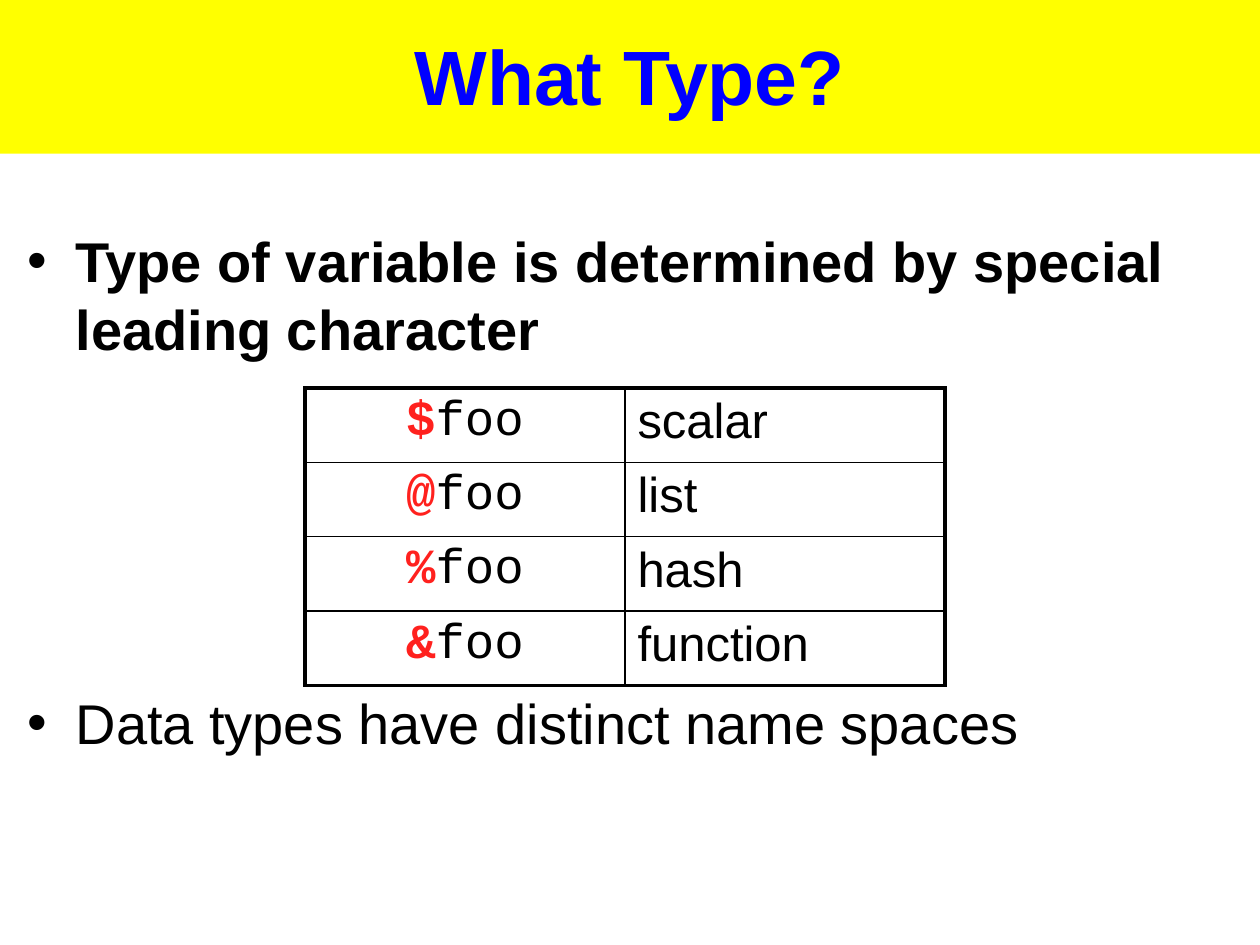
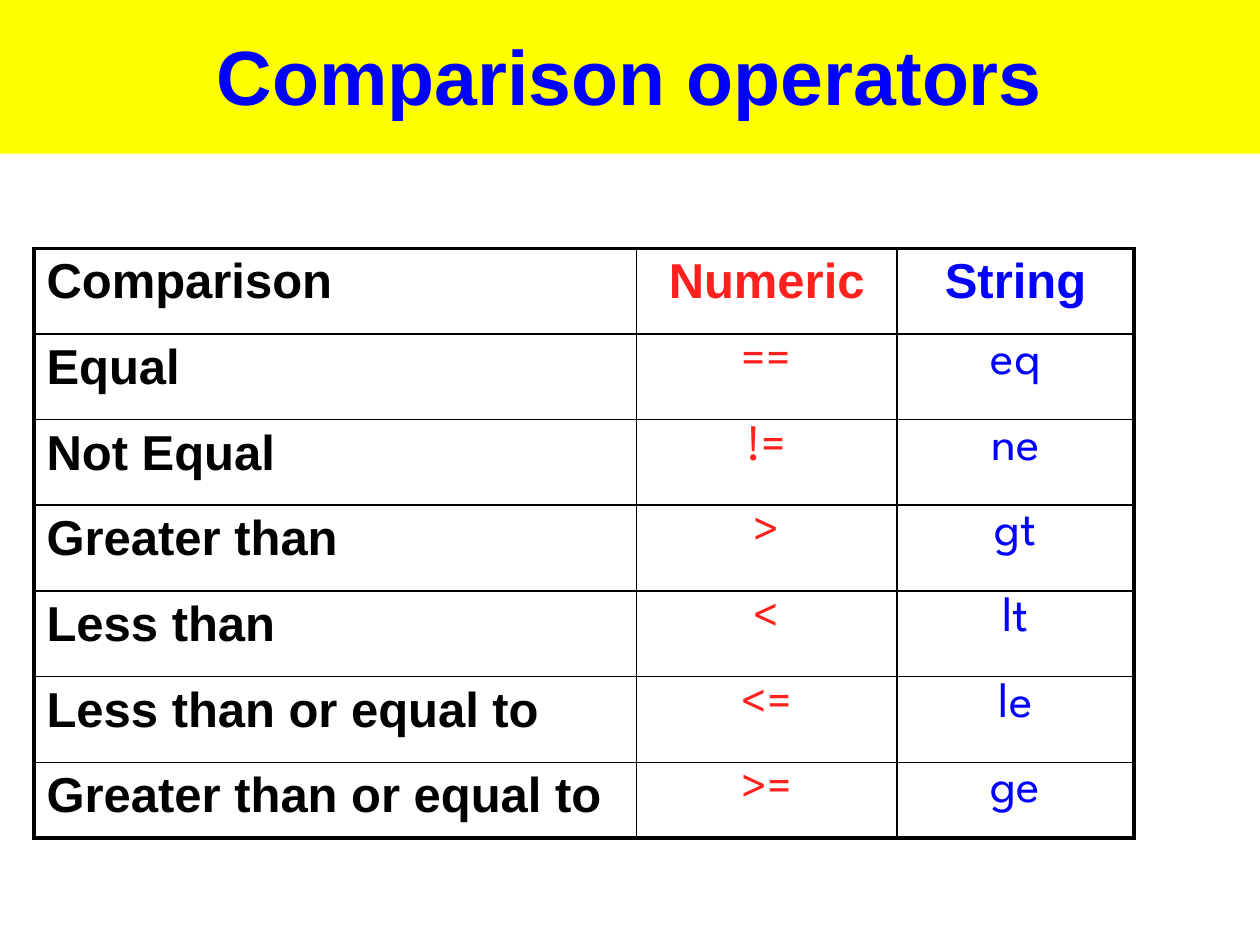
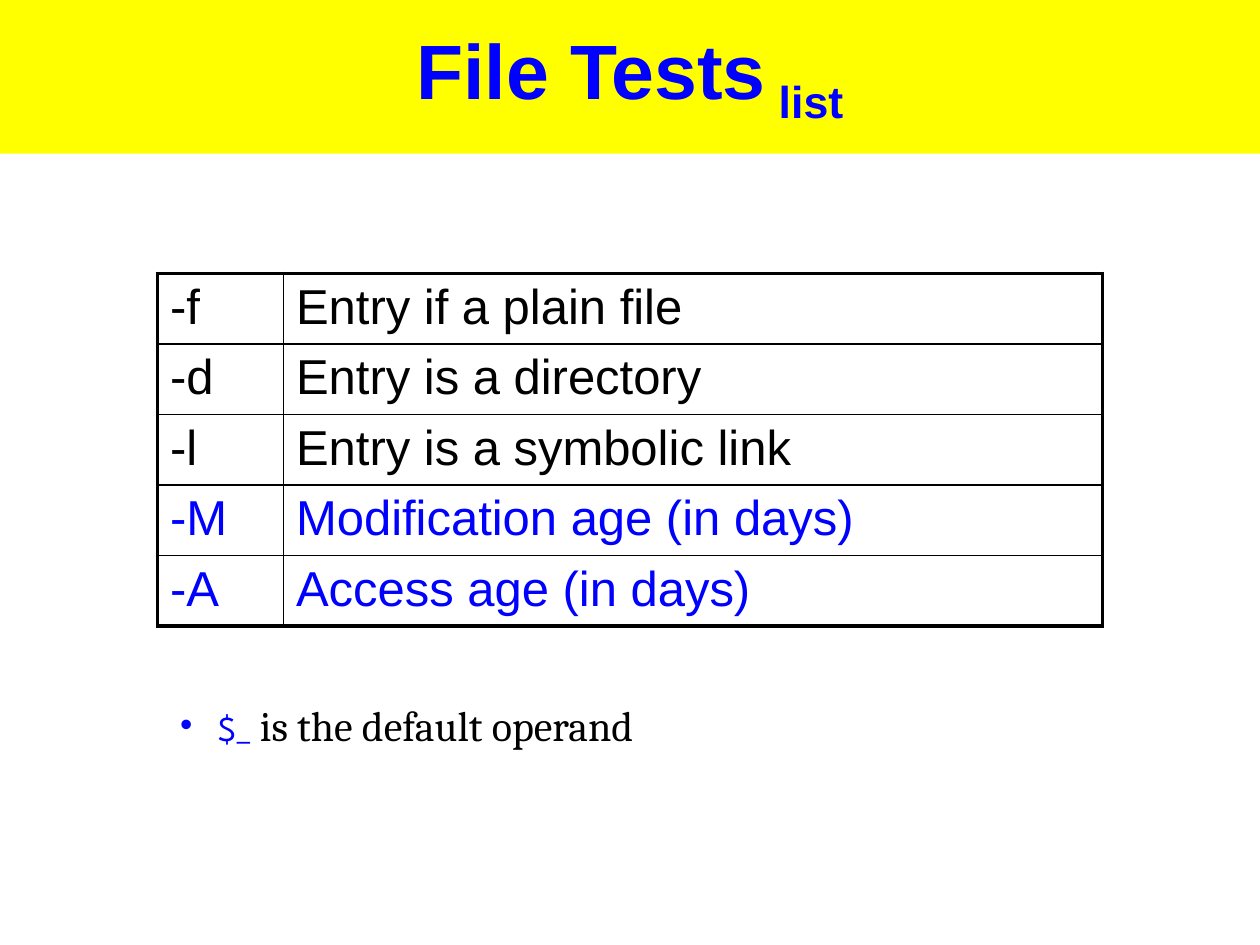
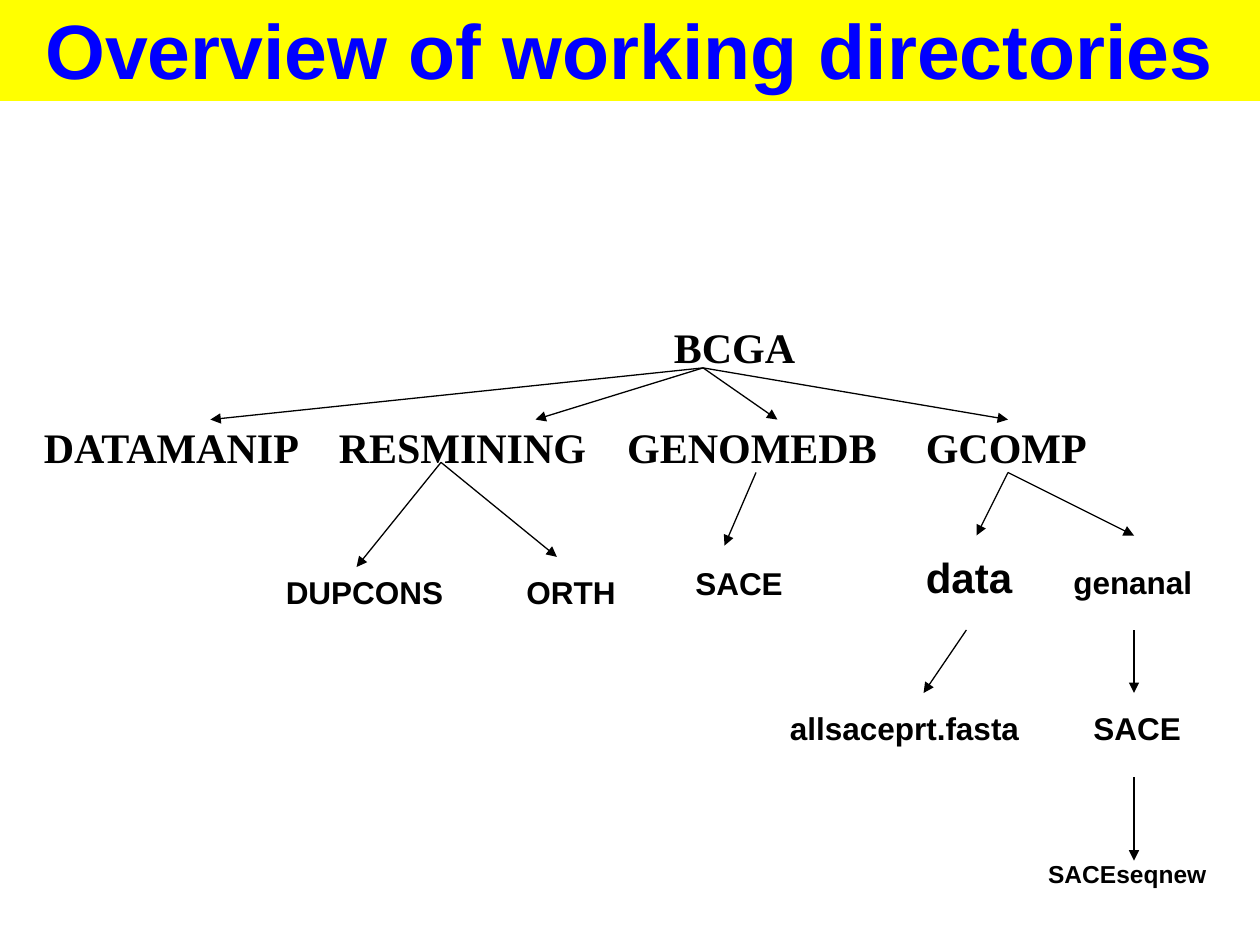
from dataclasses import dataclass
from typing import NamedTuple, Optional

from lxml import etree
from pptx import Presentation
from pptx import util as u
from pptx.dml.color import RGBColor
from pptx.enum import shapes, text
from pptx.oxml import ns

TITLE_AND_BODY = 1
TITLE_ONLY = 5


@dataclass(frozen=True)
class Theme:
    black: str = "000000"
    blue: str = "0000FF"
    red: str = "FF211E"
    yellow: str = "FFFF00"
    white: str = "FFFFFF"
    sans: str = "Arial"
    serif: str = "Times New Roman"
    book: str = "Cambria"
    mono: str = "Courier New"
    geometric: str = "League Spartan"
    title: float = 44
    body: float = 32
    table: float = 28
    large: float = 24
    code: float = 20
    label: float = 18
    small: float = 14
    outer_line: float = 2.25
    inner_line: float = 1
    arrow_line: float = 0.75


THEME = Theme()


class Box(NamedTuple):
    left: float
    top: float
    width: float
    height: float

    def lengths(self) -> list:
        return [u.Inches(value) for value in self]


class Run(NamedTuple):
    words: str
    size: float = THEME.table
    font: str = THEME.sans
    color: str = THEME.black
    bold: bool = False
    subscript: bool = False


class Cell(NamedTuple):
    runs: list
    centered: bool = False


class Bullet(NamedTuple):
    runs: list
    space_before: float = 0
    indent: float = 0.38


class Label(NamedTuple):
    words: str
    box: Box
    size: float = THEME.label
    font: str = THEME.sans


class Arrow(NamedTuple):
    start: tuple
    end: tuple


TITLE_BOX = Box(0, -0.03, 10, 1.25)
LOW_TITLE_BOX = Box(0, -0.03, 10, 0.83)

VARIABLE_TYPES = [("$", "scalar"), ("@", "list"), ("%", "hash"), ("&", "function")]

OPERATORS = [
    ("Equal", "==", "eq"),
    ("Not Equal", "!=", "ne"),
    ("Greater than", ">", "gt"),
    ("Less than", "<", "lt"),
    ("Less than or equal to", "<=", "le"),
    ("Greater than or equal to", ">=", "ge"),
]

FILE_TESTS = [
    ("-f", "Entry if a plain file", THEME.black),
    ("-d", "Entry is a directory", THEME.black),
    ("-l", "Entry is a symbolic link", THEME.black),
    ("-M", "Modification age (in days)", THEME.blue),
    ("-A", "Access age (in days)", THEME.blue),
]

DIRECTORIES = [
    Label("BCGA", Box(5.25, 2.5, 1.3, 0.5), THEME.large, THEME.serif),
    Label("DATAMANIP", Box(0.25, 3.3, 2.3, 0.5), THEME.large, THEME.serif),
    Label("RESMINING", Box(2.59, 3.3, 2.25, 0.5), THEME.large, THEME.serif),
    Label("GENOMEDB", Box(4.88, 3.3, 2.3, 0.5), THEME.large, THEME.serif),
    Label("GCOMP", Box(7.25, 3.3, 1.6, 0.5), THEME.large, THEME.serif),
    Label("DUPCONS", Box(2.17, 4.5, 1.5, 0.4)),
    Label("ORTH", Box(4.08, 4.5, 0.92, 0.4)),
    Label("SACE", Box(5.42, 4.43, 1.24, 0.4)),
    Label("data", Box(7.25, 4.33, 1, 0.5), THEME.large),
    Label("genanal", Box(8.42, 4.42, 1.25, 0.4)),
    Label("allsaceprt.fasta", Box(6.17, 5.58, 2.33, 0.4)),
    Label("SACE", Box(8.58, 5.58, 1, 0.4)),
    Label("SACEseqnew", Box(8.22, 6.77, 1.75, 0.34), THEME.small),
]

BRANCHES = {
    (5.58, 2.92): [(1.67, 3.33), (4.25, 3.33), (6.17, 3.33), (8, 3.33)],
    (3.5, 3.67): [(2.83, 4.5), (4.42, 4.42)],
    (6, 3.75): [(5.75, 4.33)],
    (8, 3.75): [(7.75, 4.25), (9, 4.25)],
    (7.67, 5): [(7.33, 5.5)],
    (9, 5): [(9, 5.5)],
    (9, 6.17): [(9, 6.83)],
}


def rgb(color: str) -> RGBColor:
    return RGBColor.from_string(color)


def add_runs(paragraph, runs: list) -> None:
    for item in runs:
        run = paragraph.add_run()
        run.text = item.words
        run.font.size = u.Pt(item.size)
        run.font.name = item.font
        run.font.bold = item.bold
        run.font.color.rgb = rgb(item.color)
        if item.subscript:
            run.font._element.set("baseline", "-25000")


def place(shape, box: Box) -> None:
    shape.left, shape.top, shape.width, shape.height = box.lengths()


def title_run(words: str, subscript: bool = False) -> Run:
    return Run(words, THEME.title, THEME.sans, THEME.blue, True, subscript)


def add_slide(presentation, layout: int, title: list, box: Box = TITLE_BOX):
    slide = presentation.slides.add_slide(presentation.slide_layouts[layout])
    slide.background.fill.solid()
    slide.background.fill.fore_color.rgb = rgb(THEME.white)
    shape = slide.shapes.title
    place(shape, box)
    shape.fill.solid()
    shape.fill.fore_color.rgb = rgb(THEME.yellow)
    frame = shape.text_frame
    frame.auto_size = text.MSO_AUTO_SIZE.NONE
    frame.vertical_anchor = text.MSO_ANCHOR.MIDDLE
    frame.paragraphs[0].alignment = text.PP_ALIGN.CENTER
    add_runs(frame.paragraphs[0], title)
    return slide


def fill_body(slide, box: Box, bullets: list) -> None:
    shape = slide.placeholders[1]
    place(shape, box)
    frame = shape.text_frame
    frame.auto_size = text.MSO_AUTO_SIZE.NONE
    for index, bullet in enumerate(bullets):
        paragraph = frame.add_paragraph() if index else frame.paragraphs[0]
        paragraph.space_before = u.Pt(bullet.space_before)
        properties = paragraph._p.get_or_add_pPr()
        properties.set("marL", str(u.Inches(bullet.indent)))
        properties.set("indent", str(-u.Inches(bullet.indent)))
        add_runs(paragraph, bullet.runs)


def add_border(cell, side: str, width: float) -> None:
    properties = cell._tc.get_or_add_tcPr()
    line = etree.SubElement(properties, ns.qn(f"a:ln{side}"), w=str(u.Pt(width)))
    fill = etree.SubElement(line, ns.qn("a:solidFill"))
    etree.SubElement(fill, ns.qn("a:srgbClr"), val=THEME.black)


def add_table(slide, left: float, top: float, widths: list, heights: list, rows: list) -> None:
    box = Box(left, top, sum(widths), sum(heights))
    table = slide.shapes.add_table(len(heights), len(widths), *box.lengths()).table
    table.first_row = False
    table.horz_banding = False
    for column, width in zip(table.columns, widths):
        column.width = u.Inches(width)
    for row, height in zip(table.rows, heights):
        row.height = u.Inches(height)
    for row_index, row in enumerate(rows):
        for column_index, content in enumerate(row):
            cell = table.cell(row_index, column_index)
            outer_sides = {
                "L": column_index == 0,
                "R": column_index == len(widths) - 1,
                "T": row_index == 0,
                "B": row_index == len(heights) - 1,
            }
            for side, is_outer in outer_sides.items():
                add_border(cell, side, THEME.outer_line if is_outer else THEME.inner_line)
            cell.fill.background()
            paragraph = cell.text_frame.paragraphs[0]
            if content.centered:
                paragraph.alignment = text.PP_ALIGN.CENTER
            add_runs(paragraph, content.runs)


def add_label(slide, label: Label) -> None:
    frame = slide.shapes.add_textbox(*label.box.lengths()).text_frame
    frame.word_wrap = True
    run = Run(label.words, label.size, label.font, bold=True)
    add_runs(frame.paragraphs[0], [run])


def add_arrow(slide, arrow: Arrow) -> None:
    ends = [u.Inches(value) for value in (*arrow.start, *arrow.end)]
    connector = slide.shapes.add_connector(shapes.MSO_CONNECTOR.STRAIGHT, *ends)
    connector.line.width = u.Pt(THEME.arrow_line)
    connector.line.color.rgb = rgb(THEME.black)
    line = connector.line._get_or_add_ln()
    etree.SubElement(line, ns.qn("a:tailEnd"), type="triangle")
    etree.SubElement(connector._element.spPr, ns.qn("a:effectLst"))


def build_variable_types(presentation) -> None:
    slide = add_slide(presentation, TITLE_AND_BODY, [title_run("What Type?")])
    rule = "Type of variable is determined by special leading character"
    fill_body(slide, Box(0.12, 1.75, 9.88, 4.95), [
        Bullet([Run(rule, THEME.body, bold=True)]),
        Bullet([Run("Data types have distinct name spaces", THEME.body)], space_before=187),
    ])
    rows = [
        [
            Cell([Run(sigil, font=THEME.mono, color=THEME.red, bold=True),
                  Run("foo", font=THEME.mono)], centered=True),
            Cell([Run(kind)]),
        ]
        for sigil, kind in VARIABLE_TYPES
    ]
    add_table(slide, 2.42, 3.08, [2.54] * 2, [0.59] * 4, rows)


def build_operators(presentation) -> None:
    slide = add_slide(presentation, TITLE_ONLY, [title_run("Comparison operators")])
    rows = [[
        Cell([Run("Comparison", bold=True)]),
        Cell([Run("Numeric", color=THEME.red, bold=True)], centered=True),
        Cell([Run("String", color=THEME.blue, bold=True)], centered=True),
    ]]
    for name, numeric, string in OPERATORS:
        rows.append([
            Cell([Run(name, bold=True)]),
            Cell([Run(numeric, font=THEME.geometric, color=THEME.red)], centered=True),
            Cell([Run(string, font=THEME.geometric, color=THEME.blue)], centered=True),
        ])
    add_table(slide, 0.27, 1.97, [4.78, 2.07, 1.88], [0.68] * 6 + [0.6], rows)


def build_file_tests(presentation) -> None:
    title = [title_run("File Tests"), title_run(" list", subscript=True)]
    slide = add_slide(presentation, TITLE_AND_BODY, title)
    rows = [
        [Cell([Run(flag, color=color)]), Cell([Run(meaning, color=color)])]
        for flag, meaning, color in FILE_TESTS
    ]
    add_table(slide, 1.25, 2.17, [1, 6.5], [0.56] * 5, rows)
    fill_body(slide, Box(1.33, 5.5, 7.42, 0.5), [
        Bullet([
            Run("$_", THEME.code, THEME.geometric, THEME.blue),
            Run(" is the default operand", THEME.large, THEME.book),
        ], indent=0.3),
    ])


def build_directories(presentation) -> None:
    title = [title_run("Overview of working directories")]
    slide = add_slide(presentation, TITLE_ONLY, title, LOW_TITLE_BOX)
    for label in DIRECTORIES:
        add_label(slide, label)
    for start, ends in BRANCHES.items():
        for end in ends:
            add_arrow(slide, Arrow(start, end))


def main() -> None:
    presentation = Presentation()
    presentation.slide_width = u.Inches(10)
    presentation.slide_height = u.Inches(7.5)
    build_variable_types(presentation)
    build_operators(presentation)
    build_file_tests(presentation)
    build_directories(presentation)
    presentation.save("out.pptx")


if __name__ == "__main__":
    main()
